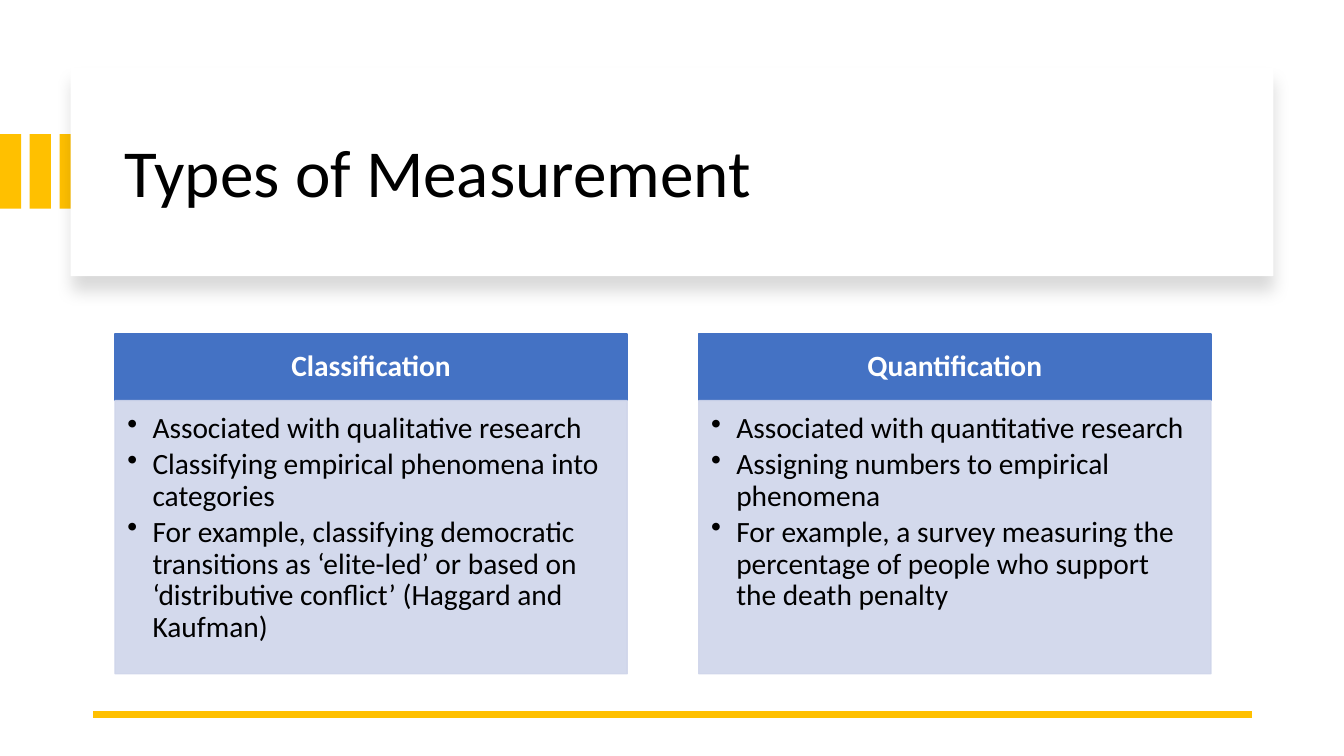
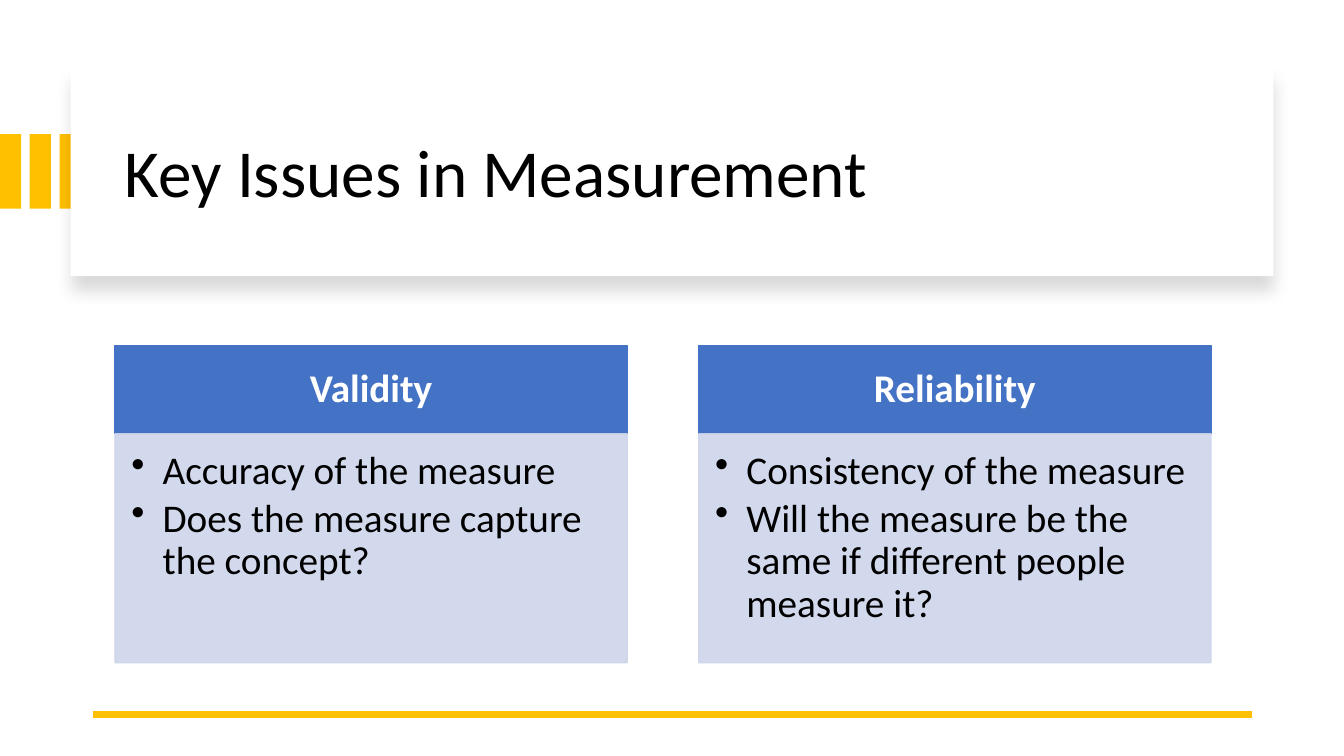
from lxml import etree
from pptx import Presentation
from pptx.dml.color import RGBColor
from pptx.enum.shapes import MSO_CONNECTOR, MSO_SHAPE
from pptx.enum.text import MSO_ANCHOR as Anchor, PP_ALIGN as Align
from pptx.oxml.ns import qn
from pptx.util import Inches, Pt

# Content: text size and bullet indent and body height, then the two columns
SLIDES = [
    {"title": "Types of Measurement", "size": 21, "indent": 0.25, "body": 2.71,
     "columns": [
         ("Classification", [
             "Associated with qualitative research",
             "Classifying empirical phenomena into categories",
             "For example, classifying democratic transitions as ‘elite-led’ "
             "or based on ‘distributive conflict’ (Haggard and Kaufman)"]),
         ("Quantification", [
             "Associated with quantitative research",
             "Assigning numbers to empirical phenomena",
             "For example, a survey measuring the percentage of people "
             "who support the death penalty"])]},
    {"title": "Key Issues in Measurement", "size": 28, "indent": 0.31, "body": 2.27,
     "columns": [
         ("Validity", [
             "Accuracy of the measure",
             "Does the measure capture the concept?"]),
         ("Reliability", [
             "Consistency of the measure",
             "Will the measure be the same if different people measure it?"])]},
]

# Shared look
FONT = "Calibri"
GOLD, BLUE, PALE, WHITE, BLACK = "FFC000", "4472C4", "CFD5EA", "FFFFFF", "000000"
WIDTH, HEIGHT = 13.33, 7.5
LEFT, CONTENT_WIDTH, COLUMN_WIDTH = 1.14, 10.87, 5.08
COLUMNS_MIDDLE = 5.0
HEADER_EMS = 2.26  # header height in multiples of the text size


def color(hex_string):
    return RGBColor.from_string(hex_string)


def add_child(parent, tag, **attributes):
    return etree.SubElement(parent, qn(tag), {k: str(v) for k, v in attributes.items()})


def add_rectangle(slide, left, top, width, height, fill, outlined=False, opacity=100):
    shape = slide.shapes.add_shape(
        MSO_SHAPE.RECTANGLE, *map(Inches, (left, top, width, height)))
    shape.shadow.inherit = False
    shape.fill.solid()
    shape.fill.fore_color.rgb = color(fill)
    if outlined:
        shape.line.color.rgb = color(fill)
        shape.line.width = Pt(1)
    else:
        shape.line.fill.background()
    if opacity < 100:
        for tint in shape._element.spPr.iter(qn("a:srgbClr")):
            add_child(tint, "a:alpha", val=opacity * 1000)
    return shape


def set_text(shape, lines, size, ink, insets, anchor, align=Align.LEFT,
             bold=False, after=0, indent=0):
    frame = shape.text_frame
    frame.word_wrap = True
    frame.vertical_anchor = anchor
    frame.margin_left, frame.margin_top, frame.margin_right, frame.margin_bottom = map(
        Inches, insets)
    frame.text = "\n".join(lines)
    for paragraph in frame.paragraphs:
        paragraph.alignment = align
        paragraph.line_spacing = 0.9
        paragraph.space_after = Pt(after)
        font = paragraph.font
        font.name, font.size, font.bold = FONT, Pt(size), bold
        font.color.rgb = color(ink)
        if indent:
            properties = paragraph._p.get_or_add_pPr()
            properties.set("marL", str(Inches(indent)))
            properties.set("indent", str(-Inches(indent)))
            bullet = etree.Element(qn("a:buChar"), char="•")
            properties.find(qn("a:defRPr")).addprevious(bullet)


def add_frame(slide, title):
    # Gold bars that run in behind the title card
    for index in range(3):
        add_rectangle(slide, index * 0.295, 1.33, 0.21, 0.74, GOLD)

    # Title card with a soft shadow below
    card = add_rectangle(slide, 0.7, 0.67, 11.93, 2.07, WHITE)
    effects = card._element.spPr.find(qn("a:effectLst"))
    shadow = add_child(effects, "a:outerShdw", blurRad=Pt(11), dist=Pt(10),
                       dir=90 * 60000, algn="t", rotWithShape=0)
    add_child(add_child(shadow, "a:srgbClr", val=BLACK), "a:alpha", val=15000)

    heading = slide.shapes.add_textbox(*map(Inches, (LEFT, 0.89, CONTENT_WIDTH, 1.7)))
    set_text(heading, [title], 48, BLACK, (0.1, 0.05, 0.1, 0.05), Anchor.MIDDLE)


def add_footer_rule(slide):
    rule = slide.shapes.add_connector(
        MSO_CONNECTOR.STRAIGHT, *map(Inches, (12.42, 7.09, 0.92, 7.09)))
    rule.line.color.rgb = color(GOLD)
    rule.line.width = Pt(4.5)
    add_child(rule._element.spPr, "a:effectLst")


def add_columns(slide, columns, size, indent, body_height):
    em = size / 72
    header_height = HEADER_EMS * em
    top = COLUMNS_MIDDLE - (header_height + body_height) / 2
    step = (CONTENT_WIDTH - COLUMN_WIDTH) / (len(columns) - 1)
    header_insets = [share * em for share in (0.56, 0.32, 0.56, 0.32)]
    body_insets = [share * em for share in (0.42, 0.42, 0.56, 0.63)]
    for index, (name, points) in enumerate(columns):
        left = LEFT + index * step
        header = add_rectangle(slide, left, top, COLUMN_WIDTH, header_height, BLUE, True)
        set_text(header, [name], size, WHITE, header_insets, Anchor.MIDDLE,
                 Align.CENTER, bold=True)
        body = add_rectangle(slide, left, top + header_height, COLUMN_WIDTH,
                             body_height, PALE, True, opacity=90)
        set_text(body, points, size, BLACK, body_insets, Anchor.TOP,
                 after=round(0.15 * size, 1), indent=indent)


def main():
    presentation = Presentation()
    presentation.slide_width, presentation.slide_height = Inches(WIDTH), Inches(HEIGHT)
    for content in SLIDES:
        slide = presentation.slides.add_slide(presentation.slide_layouts[6])
        add_frame(slide, content["title"])
        add_columns(slide, content["columns"], content["size"], content["indent"],
                    content["body"])
        add_footer_rule(slide)
    presentation.save("out.pptx")


if __name__ == "__main__":
    main()
